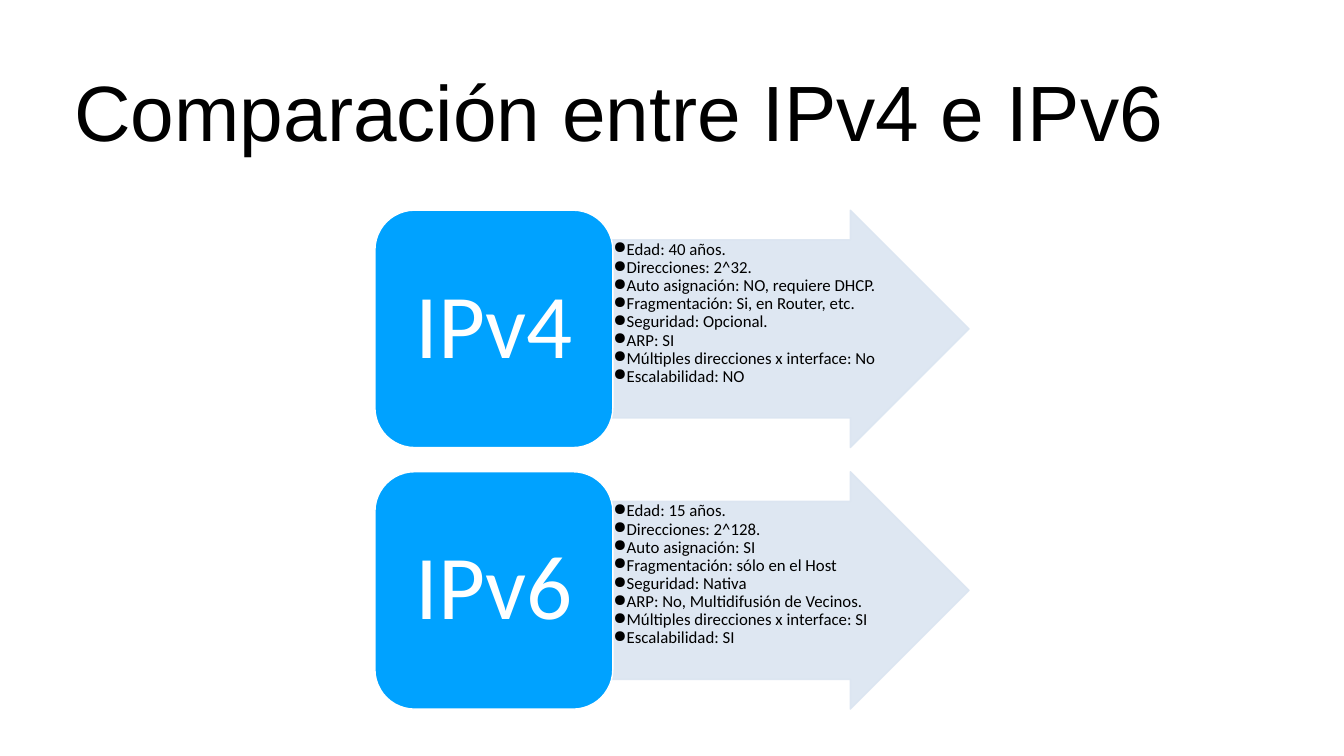
from lxml import etree
from pptx import Presentation
from pptx.dml.color import RGBColor
from pptx.enum.shapes import MSO_SHAPE
from pptx.enum.text import MSO_ANCHOR, MSO_AUTO_SIZE, PP_ALIGN
from pptx.oxml.ns import qn
from pptx.util import Inches, Pt

ARROW, CARD = MSO_SHAPE.RIGHT_ARROW, MSO_SHAPE.ROUNDED_RECTANGLE
TOP, MIDDLE = MSO_ANCHOR.TOP, MSO_ANCHOR.MIDDLE
LEFT, CENTER = PP_ALIGN.LEFT, PP_ALIGN.CENTER
NO_AUTOFIT = MSO_AUTO_SIZE.NONE

COLORS = {"text": "000000", "card": "00A2FF", "white": "FFFFFF", "arrow": "DBE5F1"}
ARROW_OPACITY = 89

TITLE_FONT = {"name": "Arial", "size": Pt(112), "bold": False}
CARD_FONT = {"name": "Calibri", "size": Pt(130)}
TRAIT_FONT = {"name": "Calibri", "size": Pt(24)}

CARD_LEFT, CARD_WIDTH = 7.44, 4.72
ARROW_LEFT, ARROW_WIDTH = 12.15, 7.08
FIRST_TOP, ROW_HEIGHT, ROW_PITCH = 4.17, 4.71, 5.19

PROTOCOLS = {
    "IPv4": [
        "Edad: 40 años.",
        "Direcciones: 2^32.",
        "Auto asignación: NO, requiere DHCP.",
        "Fragmentación: Si, en Router, etc.",
        "Seguridad: Opcional.",
        "ARP: SI",
        "Múltiples direcciones x interface: No",
        "Escalabilidad: NO",
    ],
    "IPv6": [
        "Edad: 15 años.",
        "Direcciones: 2^128.",
        "Auto asignación: SI",
        "Fragmentación: sólo en el Host",
        "Seguridad: Nativa",
        "ARP: No, Multidifusión de Vecinos.",
        "Múltiples direcciones x interface: SI",
        "Escalabilidad: SI",
    ],
}


def rgb(key):
    return RGBColor.from_string(COLORS[key])


def set_all(target, values):
    for attribute, value in values.items():
        setattr(target, attribute, value)


def set_font(paragraph, font_values, color):
    set_all(paragraph.font, font_values)
    paragraph.font.color.rgb = rgb(color)


def set_frame(frame, anchor, side, end):
    set_all(frame, {
        "word_wrap": True, "auto_size": NO_AUTOFIT, "vertical_anchor": anchor,
        "margin_left": Inches(side), "margin_right": Inches(side),
        "margin_top": Inches(end), "margin_bottom": Inches(end),
    })


def set_opacity(color_format_parent, percent):
    for color in color_format_parent.iter(qn("a:srgbClr")):
        etree.SubElement(color, qn("a:alpha")).set("val", str(percent * 1000))


def add_bullet(paragraph):
    properties = paragraph._p.get_or_add_pPr()
    properties.set("marL", str(Inches(0.25)))
    properties.set("indent", str(-Inches(0.25)))
    bullet_color = etree.SubElement(properties, qn("a:buClr"))
    etree.SubElement(bullet_color, qn("a:srgbClr")).set("val", COLORS["text"])
    etree.SubElement(properties, qn("a:buChar")).set("char", "●")


def add_block(slide, preset, left, top, width, fill, line, adjustments):
    block = slide.shapes.add_shape(
        preset, Inches(left), Inches(top), Inches(width), Inches(ROW_HEIGHT))
    block.shadow.inherit = False
    for index, value in enumerate(adjustments):
        block.adjustments[index] = value
    block.fill.solid()
    block.fill.fore_color.rgb = rgb(fill)
    block.line.color.rgb = rgb(line)
    block.line.width = Pt(2)
    return block


def add_title(slide, text):
    title = slide.shapes.title
    set_all(title, {"left": Inches(0), "top": Inches(0.93),
                    "width": Inches(24.56), "height": Inches(2.5)})
    set_frame(title.text_frame, MIDDLE, 0.2, 0.1)
    title.text_frame.text = text
    heading = title.text_frame.paragraphs[0]
    set_all(heading, {"alignment": CENTER, "line_spacing": 1.0})
    set_font(heading, TITLE_FONT, "text")


def add_traits_arrow(slide, top, traits):
    arrow = add_block(slide, ARROW, ARROW_LEFT, top, ARROW_WIDTH,
                      "arrow", "arrow", [0.75, 0.5])
    set_opacity(arrow._element.spPr, ARROW_OPACITY)
    frame = arrow.text_frame
    set_frame(frame, TOP, 0.02, 0.02)
    frame.text = "\n".join(traits)
    for trait in frame.paragraphs:
        set_all(trait, {"level": 1, "alignment": LEFT, "line_spacing": 0.9})
        add_bullet(trait)
        set_font(trait, TRAIT_FONT, "text")


def add_protocol_card(slide, top, protocol):
    card = add_block(slide, CARD, CARD_LEFT, top, CARD_WIDTH,
                     "card", "white", [0.167])
    set_frame(card.text_frame, MIDDLE, 0.54, 0.27)
    card.text_frame.text = protocol
    label = card.text_frame.paragraphs[0]
    set_all(label, {"alignment": CENTER, "line_spacing": 0.9, "space_after": Pt(45.5)})
    set_font(label, CARD_FONT, "white")


def main():
    deck = Presentation()
    set_all(deck, {"slide_width": Inches(26.67), "slide_height": Inches(15)})
    slide = deck.slides.add_slide(deck.slide_layouts[5])

    # Heading
    add_title(slide, "Comparación entre IPv4 e IPv6")

    # One row per protocol: arrow of traits behind its name card
    for row, (protocol, traits) in enumerate(PROTOCOLS.items()):
        top = FIRST_TOP + row * ROW_PITCH
        add_traits_arrow(slide, top, traits)
        add_protocol_card(slide, top, protocol)

    deck.save("out.pptx")


if __name__ == "__main__":
    main()
